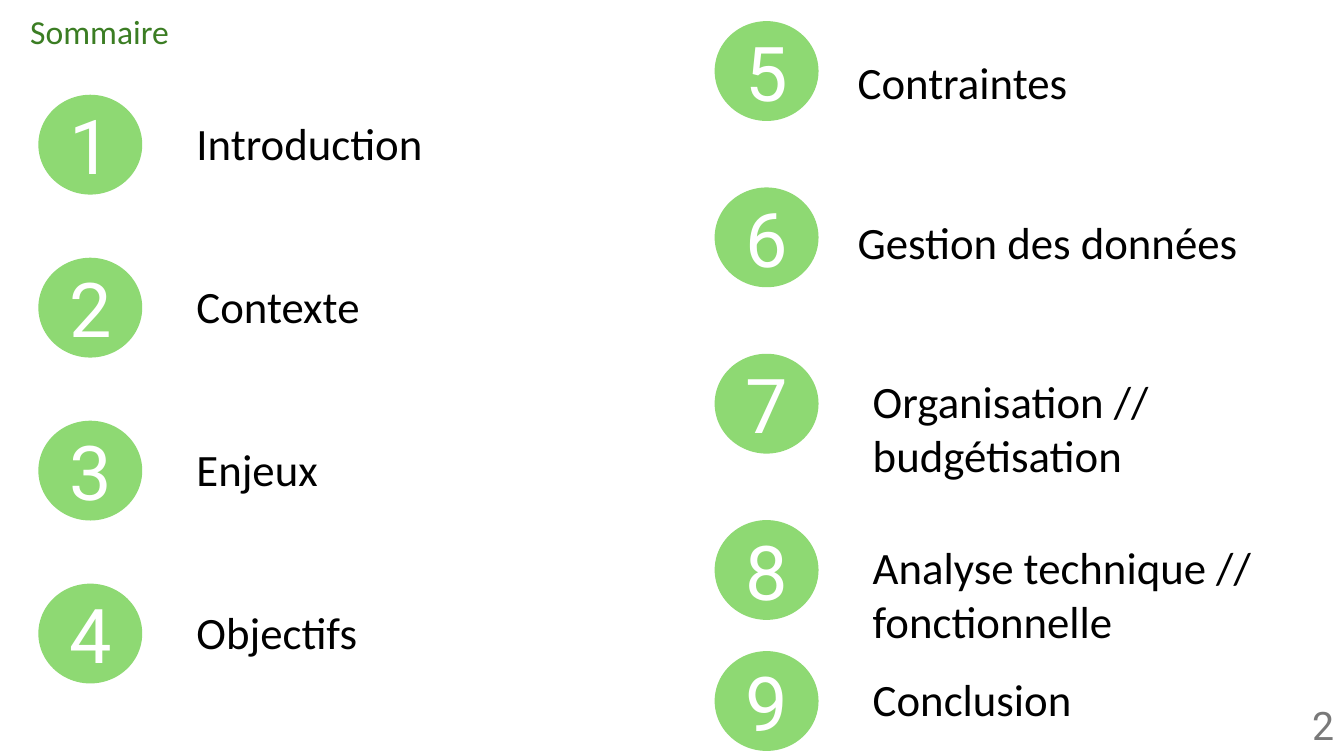
"""Build the numbered summary slide."""
from pptx import Presentation
from pptx.dml.color import RGBColor
from pptx.enum.shapes import MSO_SHAPE
from pptx.enum.text import MSO_ANCHOR, PP_ALIGN
from pptx.util import Pt

OVAL = MSO_SHAPE.OVAL
TOP, MIDDLE = MSO_ANCHOR.TOP, MSO_ANCHOR.MIDDLE
LEFT, CENTER, RIGHT = PP_ALIGN.LEFT, PP_ALIGN.CENTER, PP_ALIGN.RIGHT

COLORS = {"title": "3B7D23", "badge": "8ED973", "number": "FFFFFF",
          "label": "000000", "page": "797979"}
TITLE = "Sommaire"
PAGE_NUMBER = "2"
LEFT_LABELS = ["Introduction", "Contexte", "Enjeux", "Objectifs"]
# label, left, drop below the badge top, width, height
RIGHT_LABELS = [
    ("Contraintes", 605.5, 20.2, 296.6, 46),
    ("Gestion des données", 605.5, 15.8, 338.4, 46),
    ("Organisation // budgétisation", 616.3, 10.8, 327.6, 85),
    ("Analyse technique // fonctionnelle", 616.3, 10.8, 296.6, 85),
    ("Conclusion", 616.3, 10.8, 296.6, 46),
]
BADGE_WIDTH, BADGE_HEIGHT = 74.2, 71.3
LEFT_BADGE_X, LEFT_START, LEFT_STEP = 27.4, 67.7, 116.4
RIGHT_BADGE_X, RIGHT_START, RIGHT_STEP = 510.5, 15.1, 118.8
LAST_BADGE_TOP = 465.1


def write(shape, text, font, size, color, align=LEFT, anchor=TOP):
    """Put one formatted line of text in a shape."""
    frame = shape.text_frame
    frame.text = text
    frame.word_wrap = True
    frame.vertical_anchor = anchor
    paragraph = frame.paragraphs[0]
    paragraph.alignment = align
    run_font = paragraph.runs[0].font
    run_font.name, run_font.size = font, Pt(size)
    run_font.color.rgb = RGBColor.from_string(COLORS[color])


def add_entry(slide, number, badge_left, badge_top, entry):
    """Add a numbered badge and its label."""
    label, left, drop, width, height = entry
    badge = slide.shapes.add_shape(OVAL, Pt(badge_left), Pt(badge_top),
                                   Pt(BADGE_WIDTH), Pt(BADGE_HEIGHT))
    badge.shadow.inherit = False
    badge.fill.solid()
    badge.fill.fore_color.rgb = RGBColor.from_string(COLORS["badge"])
    badge.line.fill.background()
    write(badge, str(number), "Roboto", 54, "number", CENTER, MIDDLE)
    box = slide.shapes.add_textbox(Pt(left), Pt(badge_top + drop), Pt(width), Pt(height))
    write(box, label, "Calibri", 32, "label")


def main():
    """Create and save the presentation."""
    presentation = Presentation()
    presentation.slide_width, presentation.slide_height = Pt(960), Pt(540)
    slide = presentation.slides.add_slide(presentation.slide_layouts[5])

    title = slide.shapes.title
    title.left, title.top, title.width, title.height = Pt(14.4), Pt(10.8), Pt(341.3), Pt(25.9)
    write(title, TITLE, "Calibri", 24, "title", LEFT, MIDDLE)
    title.text_frame.paragraphs[0].line_spacing = 0.9

    page = slide.shapes.add_textbox(Pt(744), Pt(503.3), Pt(216), Pt(28.8))
    write(page, PAGE_NUMBER, "Roboto", 28, "page", RIGHT, MIDDLE)

    for row, label in enumerate(LEFT_LABELS):
        add_entry(slide, row + 1, LEFT_BADGE_X, LEFT_START + row * LEFT_STEP,
                  (label, 133.2, 11.2, 296.6, 46))
    for row, entry in enumerate(RIGHT_LABELS):
        top = min(RIGHT_START + row * RIGHT_STEP, LAST_BADGE_TOP)
        add_entry(slide, len(LEFT_LABELS) + row + 1, RIGHT_BADGE_X, top, entry)

    presentation.save("out.pptx")


if __name__ == "__main__":
    main()
